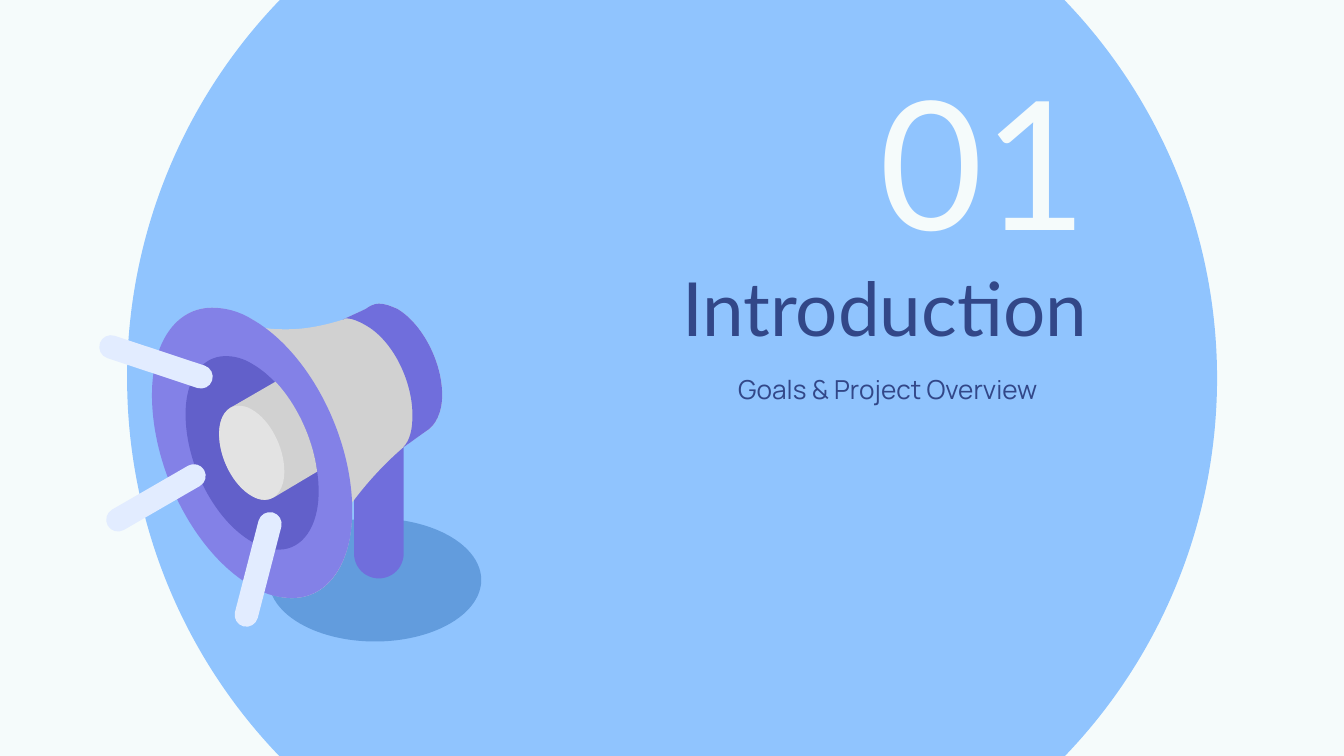
import math
from lxml import etree
from pptx import Presentation
from pptx.dml import color
from pptx.enum import shapes, text
from pptx.oxml import ns
from pptx.util import Pt

NAVY, PAPER, SKY = "324788", "F5FBFB", "90C4FE"
VIOLET, LILAC, INDIGO = "706EDC", "8381E7", "6260CA"
GREY, SILVER, RAY, SHADE = "D1D1D1", "E3E3E3", "E2ECFF", "629CDD"

BACK = [(156.2, 0, 159.1, 1.4, 162.7, 2.9),
        (175.7, 10.8, 186.5, 31, 186.5, 49),
        (186.5, 58.3, 182.9, 65.5, 177.8, 68.4)]
CREST = [(137.5, 6.5, 141.1, 5, 145.4, 2.9),
         (147.6, 1.4, 149.8, 0, 152.6, 0)]
CONE = [(152.6, 0), *BACK,
        (175, 69.8, 167.8, 75.6, 165.6, 77),
        (155.5, 85.7, 146.2, 95.8, 138.2, 106.6),
        (138.2, 108, 138.2, 109.4, 138.2, 110.9),
        (138.2, 139.7, 125.3, 157.7, 105.8, 157.7),
        (99.4, 157.7, 92.2, 155.5, 85, 151.2),
        (55.4, 133.9, 31.7, 88.6, 31.7, 49),
        (31.7, 19.4, 44.6, 2.2, 63.4, 2.2),
        (69.8, 2.2, 77, 4.3, 85, 8.6),
        (87.1, 10.1, 89.3, 11.5, 91.4, 13),
        (95, 13.7, 99.4, 13.7, 103.7, 13.7),
        (113.8, 13.7, 123.8, 11.5, 133.2, 8.6), *CREST]
CAP = [(152.6, 0), *BACK,
       (173.5, 71.3, 169.9, 74.2, 165.6, 77),
       (169.2, 73.4, 170.6, 67.7, 170.6, 59.8),
       (170.6, 41, 159.8, 19.4, 145.4, 11.5),
       (141.8, 9.4, 138.2, 7.9, 135.4, 7.9),
       (134.6, 7.9, 133.9, 7.9, 133.2, 8.6), *CREST]
CORE = [(97.2, 41.8),
        (108.7, 54, 117.4, 72.7, 119.5, 90),
        (96.5, 103.7),
        (95, 104.4, 93.6, 105.1, 91.4, 105.1),
        (89.3, 105.1, 87.1, 104.4, 85, 103),
        (74.9, 97.2, 67, 82.8, 67, 69.8),
        (67, 61.9, 69.8, 56.9, 74.9, 54.7)]
HALF_DISC = [(0.36, 0, 0.43, 0.01, 0.5, 0.04),
             (0.78, 0.15, 1, 0.44, 1, 0.7),
             (1, 0.88, 0.88, 1, 0.7, 1)]
DISCS = [((31, 2.2, 107.3, 155.5), LILAC), ((49, 28.1, 71.3, 103.7), INDIGO)]
FACE = (67, 54.7, 34.9, 50.4)
RAYS = [((9.1, 23.2), (57.3, 39.2)),
        ((12.8, 115.8), (53.5, 92.3)),
        ((94.2, 118), (81.6, 166.8))]


def rgb(value):
    """Turn a hex string into a colour."""
    return color.RGBColor.from_string(value)


def paint(sp, fill):
    """Give a shape a flat fill without line or shadow."""
    sp.shadow.inherit = False
    sp.fill.solid()
    sp.fill.fore_color.rgb = rgb(fill)
    sp.line.fill.background()
    return sp


def preset(parent, kind, box, fill):
    """Add a flat preset shape in a box given in points."""
    return paint(parent.add_shape(kind, *map(Pt, box)), fill)


def pairs(seg):
    """Split a flat segment into its x, y pairs."""
    return list(zip(seg[::2], seg[1::2]))


def outline(parent, segments, origin, fill):
    """Add a closed outline of lines (2 numbers) and cubic curves (6 numbers)."""
    spots = [[(Pt(origin[0] + x), Pt(origin[1] + y)) for x, y in pairs(seg)]
             for seg in segments]
    fb = parent.build_freeform(*spots[0][0])
    fb.add_line_segments([spot[-1] for spot in spots[1:]], close=True)
    sp = fb.convert_to_shape()
    lines = list(sp._element.iter(ns.qn("a:lnTo")))
    for line, spot in zip(lines, spots[1:]):
        if len(spot) == 3:
            curve = etree.Element(ns.qn("a:cubicBezTo"))
            for x, y in spot:
                etree.SubElement(curve, ns.qn("a:pt"), x=str(x - sp.left), y=str(y - sp.top))
            line.getparent().replace(line, curve)
    return paint(sp, fill)


def disc(box):
    """List the segments of a tilted disc that fills a box."""
    left, top, width, height = box
    unit = [(0.3, 0), *HALF_DISC, *[tuple(1 - v for v in seg) for seg in HALF_DISC]]
    return [tuple(n for x, y in pairs(seg) for n in (left + x * width, top + y * height))
            for seg in unit]


def capsule(start, end, radius=6.3, kappa=0.55):
    """List the segments of a round-ended bar between two centres."""
    length = math.dist(start, end)
    ux, uy = (end[0] - start[0]) / length, (end[1] - start[1]) / length
    segments = []
    for (cx, cy), sign in ((end, 1), (start, -1)):
        for arc in ([(0, -1)], [(kappa, -1), (1, -kappa), (1, 0)],
                    [(1, kappa), (kappa, 1), (0, 1)]):
            segments.append(tuple(n for a, b in arc for n in (
                cx + sign * radius * (a * ux - b * uy),
                cy + sign * radius * (a * uy + b * ux))))
    return segments


def megaphone(s, box):
    """Draw the megaphone with its shadow and sound rays from the box corner."""
    left, top = box
    g = s.shapes.add_group_shape().shapes
    preset(g, shapes.MSO_SHAPE.OVAL, (left + 93.6, top + 115, 113.8, 66), SHADE)
    handle = preset(g, shapes.MSO_SHAPE.ROUNDED_RECTANGLE,
                    (left + 139.3, top + 56, 26.6, 91.2), VIOLET)
    handle.adjustments[0] = 0.5
    parts = [(CONE, GREY)]
    parts += [(disc(b), fill) for b, fill in DISCS]
    parts += [(CAP, VIOLET), (CORE, GREY), (disc(FACE), SILVER)]
    parts += [(capsule(*ends), RAY) for ends in RAYS]
    for segments, fill in parts:
        outline(g, segments, box, fill)


def write(sp, box, words, *, size, font, fill, align, anchor):
    """Place a text shape in a box and fill it with one formatted line."""
    sp.left, sp.top, sp.width, sp.height = map(Pt, box)
    tf = sp.text_frame
    tf.word_wrap = True
    tf.auto_size = text.MSO_AUTO_SIZE.NONE
    tf.vertical_anchor = anchor
    tf.margin_left = tf.margin_right = tf.margin_top = tf.margin_bottom = Pt(7.2)
    p = tf.paragraphs[0]
    p.alignment = align
    p.space_before = Pt(0)
    r = p.add_run()
    r.text = words
    r.font.size, r.font.name = Pt(size), font
    r.font.color.rgb = rgb(fill)


def heading(s, box):
    """Set the section number, title and subtitle inside the box."""
    left, top, width = box
    right = left + width
    al, an = text.PP_ALIGN, text.MSO_ANCHOR
    write(s.shapes.title, (left, top + 96.7, width, 36), "Introduction",
          size=40, font="Lato", fill=NAVY, align=al.RIGHT, anchor=an.BOTTOM)
    write(s.placeholders[1], (right - 201.3, top + 130.4, 201.3, 45.4),
          "Goals & Project Overview",
          size=14, font="Manrope", fill=NAVY, align=al.LEFT, anchor=an.TOP)
    number = s.shapes.add_textbox(0, 0, 0, 0)
    write(number, (right - 176.4, top, 176.4, 45.4), "01",
          size=96, font="Lato", fill=PAPER, align=al.RIGHT, anchor=an.MIDDLE)


def backdrop(s, box):
    """Colour the slide and put the large circle behind everything."""
    s.background.fill.solid()
    s.background.fill.fore_color.rgb = rgb(PAPER)
    circle = preset(s.shapes, shapes.MSO_SHAPE.OVAL, box, SKY)
    s.shapes._spTree.insert(2, circle._element)


def main():
    """Build the section slide and save it."""
    prs = Presentation()
    prs.slide_width, prs.slide_height = Pt(720), Pt(405)
    s = prs.slides.add_slide(prs.slide_layouts[0])
    backdrop(s, (68.1, -89.3, 583.9, 583.9))
    heading(s, (260.6, 62.6, 329))
    megaphone(s, (50.4, 162.7))
    prs.save("out.pptx")


if __name__ == "__main__":
    main()
